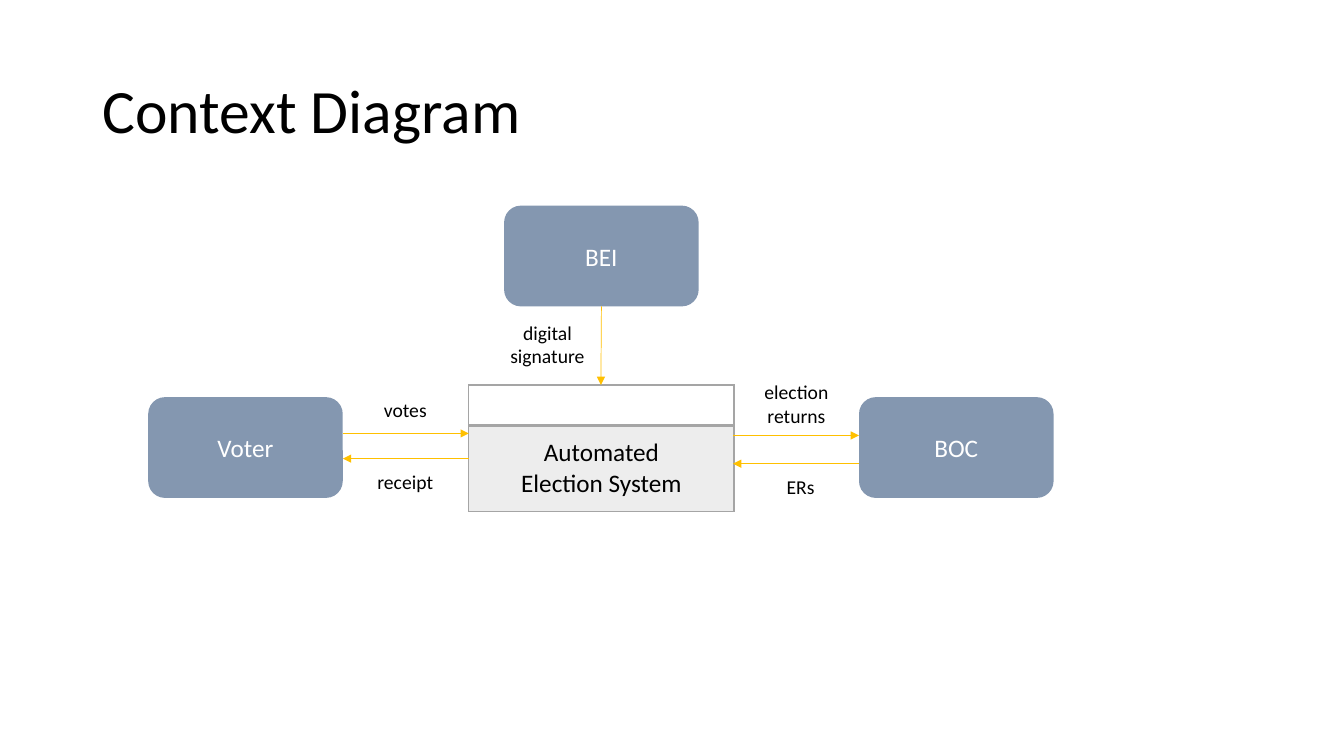
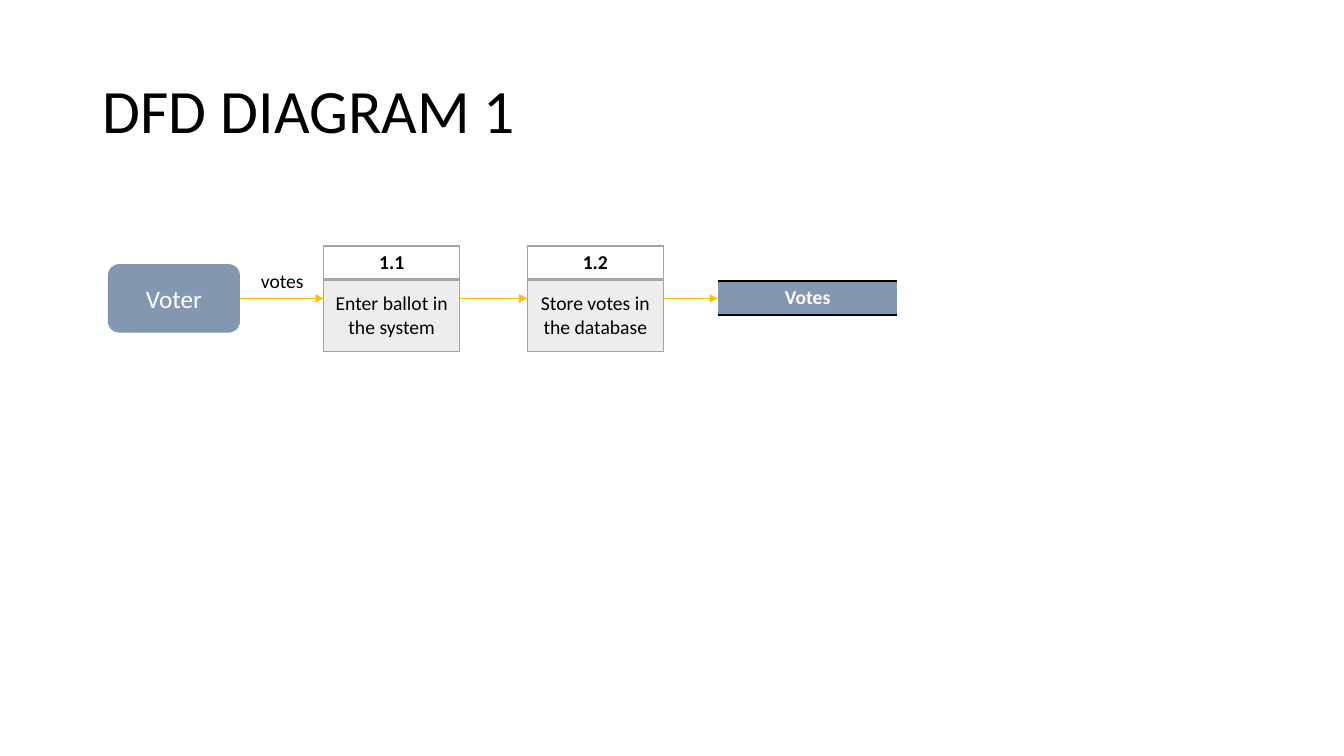
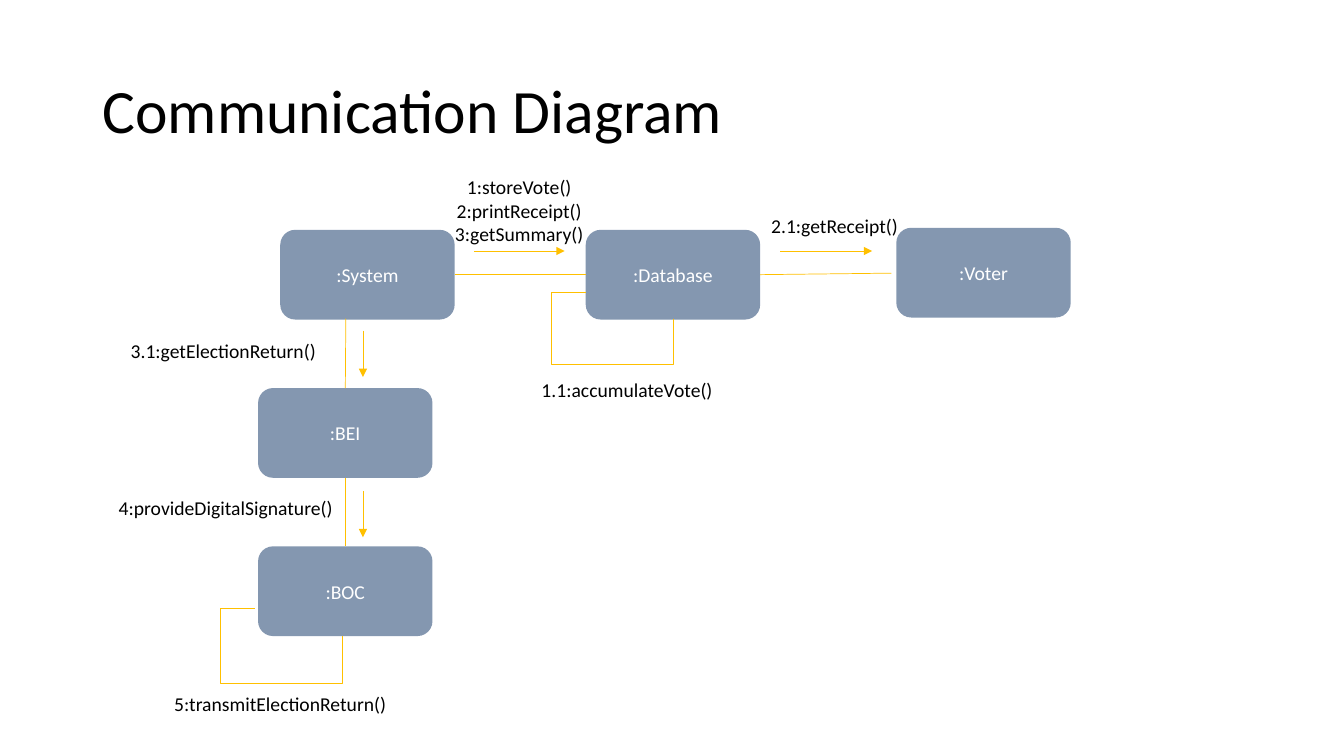
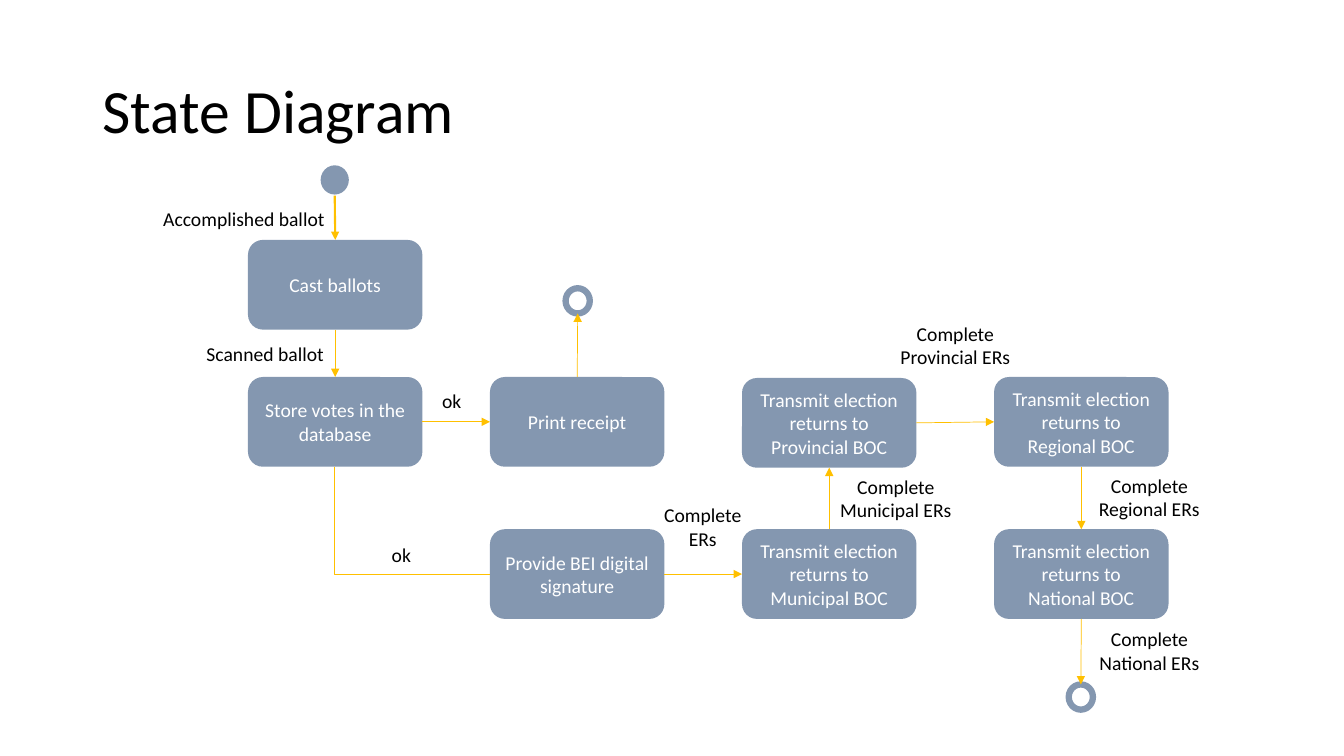
from dataclasses import dataclass

from lxml.etree import SubElement
from pptx import Presentation
from pptx.dml.color import RGBColor
from pptx.enum.shapes import MSO_CONNECTOR as Link, MSO_SHAPE as Preset
from pptx.enum.text import MSO_ANCHOR as Anchor, PP_ALIGN as Align
from pptx.oxml.ns import qn
from pptx.util import Inches, Pt


@dataclass(frozen=True)
class Theme:
    font: str = "Calibri"
    ink: str = "000000"
    paper: str = "FFFFFF"
    node: str = "8497B0"
    flow: str = "FFC000"
    grid: str = "A5A5A5"
    title_size: int = 44
    large: int = 18
    small: int = 14
    flow_width: float = 0.5


THEME = Theme()
TOP, LEFT, BOTTOM, RIGHT = range(4)
MUNICIPAL, PROVINCIAL, REGIONAL, NATIONAL = (
    f"Transmit election returns to {area} BOC"
    for area in ("Municipal", "Provincial", "Regional", "National"))
CAST, STORE, PRINT, SIGN = (
    "Cast ballots", "Store votes in the database", "Print receipt",
    "Provide BEI digital signature")

# A link end is either a point (x, y) or a side of a node (name, side).
# Labels are (text, left, top, width, height).
SLIDES = [
    dict(
        title="Context Diagram",
        node_size=(1.93, 1), text_size=THEME.large,
        nodes={"Voter": (1.47, 3.94), "BEI": (5, 2.04), "BOC": (8.52, 3.94)},
        processes=[("", "Automated\nElection System", 4.65, 3.82, 2.63, (0.4, 0.85))],
        arrows=[((3.4, 4.3), (4.65, 4.3)), ((8.52, 4.6), (7.27, 4.6)),
                (("BEI", BOTTOM), (5.96, 3.82)), ((4.65, 4.55), (3.4, 4.55)),
                ((7.27, 4.32), (8.52, 4.32))],
        labels=[("votes", 3.47, 3.9, 1.1, 0.34),
                ("election returns", 7.35, 3.72, 1.1, 0.57),
                ("receipt", 3.47, 4.61, 1.1, 0.34),
                ("ERs", 7.39, 4.66, 1.1, 0.34),
                ("digital signature", 4.88, 3.13, 1.1, 0.57)],
    ),
    dict(
        title="DFD DIAGRAM 1",
        node_size=(1.31, 0.68), text_size=THEME.large,
        nodes={"Voter": (1.07, 2.62)},
        processes=[("1.1", "Enter ballot in the system", 3.21, 2.44, 1.35, (0.33, 0.71)),
                   ("1.2", "Store votes in the database", 5.23, 2.44, 1.35, (0.33, 0.71))],
        stores=[("Votes", 7.12, 2.79, 1.78, 0.33)],
        arrows=[(("Voter", RIGHT), (3.21, 2.96)), ((4.56, 2.96), (5.23, 2.96)),
                ((6.59, 2.96), (7.12, 2.96))],
        labels=[("votes", 2.25, 2.62, 1.1, 0.34)],
    ),
    dict(
        title="Communication Diagram",
        node_size=(1.73, 0.89), text_size=THEME.small,
        nodes={":System": (2.78, 2.28), ":Database": (5.81, 2.28),
               ":Voter": (8.89, 2.26), ":BEI": (2.56, 3.85), ":BOC": (2.56, 5.42)},
        lines=[((":System", RIGHT), (":Database", LEFT)),
               ((":Database", RIGHT), (8.84, 2.71)),
               ((3.43, 3.16), (":BEI", TOP)), ((":BEI", BOTTOM), (":BOC", TOP))],
        arrows=[((4.7, 2.49), (5.6, 2.49)), ((7.74, 2.49), (8.65, 2.49)),
                ((3.6, 3.28), (3.6, 3.74)), ((3.6, 4.87), (3.6, 5.33))],
        bends=[((6.68, 3.16), (5.81, 2.9), 90, (-1.75, 1.39)),
               ((3.4, 6.31), (2.53, 6.04), 90, (-1.75, 1.39))],
        labels=[("1:storeVote()\n2:printReceipt()\n3:getSummary()", 4.31, 1.69, 1.68, 0.81),
                ("1.1:accumulateVote()", 5.22, 3.7, 2, 0.34),
                ("3.1:getElectionReturn()", 1.04, 3.31, 2.35, 0.34),
                ("4:provideDigitalSignature()", 1.06, 4.87, 2.36, 0.34),
                ("5:transmitElectionReturn()", 1.6, 6.82, 2.36, 0.34),
                ("2.1:getReceipt()", 7.55, 2.07, 1.54, 0.34, Align.LEFT)],
    ),
    dict(
        title="State Diagram",
        node_size=(1.73, 0.89), text_size=THEME.small,
        nodes={CAST: (2.46, 2.38), STORE: (2.46, 3.74), PRINT: (4.86, 3.74),
               SIGN: (4.86, 5.25), MUNICIPAL: (7.36, 5.25),
               PROVINCIAL: (7.36, 3.75), REGIONAL: (9.86, 3.74),
               NATIONAL: (9.86, 5.25)},
        starts=[(3.18, 1.64, 0.28, 0.29)],
        ends=[(10.6, 6.79, 0.24, 0.25), (5.61, 2.86, 0.24, 0.25)],
        arrows=[((3.32, 1.94), (CAST, TOP), 1.5),
                ((CAST, BOTTOM), (STORE, TOP)), ((STORE, RIGHT), (PRINT, LEFT)),
                ((NATIONAL, BOTTOM), (10.72, 6.79)), ((SIGN, RIGHT), (MUNICIPAL, LEFT)),
                ((MUNICIPAL, TOP), (PROVINCIAL, BOTTOM)),
                ((PROVINCIAL, RIGHT), (REGIONAL, LEFT)),
                ((REGIONAL, BOTTOM), (NATIONAL, TOP)), ((PRINT, TOP), (5.73, 3.11))],
        bends=[((3.32, 4.63), (4.86, 5.7), 270, ())],
        labels=[("Accomplished ballot", 1.47, 2, 1.9, 0.34),
                ("Scanned ballot", 1.79, 3.34, 1.68, 0.34),
                ("ok", 3.64, 3.81, 1.68, 0.34),
                ("ok", 3.14, 5.34, 1.68, 0.34),
                ("Complete ERs", 6.47, 4.94, 1, 0.57),
                ("Complete Municipal ERs", 8.13, 4.66, 1.51, 0.57),
                ("Complete Provincial ERs", 8.77, 3.14, 1.41, 0.57),
                ("Complete Regional ERs", 10.75, 4.65, 1.3, 0.57),
                ("Complete National ERs", 10.75, 6.17, 1.3, 0.57)],
    ),
]


def rgb(color):
    return RGBColor.from_string(color)


def write(frame, text, size=THEME.small, color=THEME.ink, bold=False,
          align=Align.CENTER, spacing=None):
    """Fill a text frame, one paragraph per line of text."""
    frame.word_wrap = True
    for number, line in enumerate(text.split("\n")):
        para = frame.add_paragraph() if number else frame.paragraphs[0]
        para.alignment = align
        para.line_spacing = spacing
        span = para.add_run()
        span.text = line
        span.font.name = THEME.font
        span.font.size = Pt(size)
        span.font.bold = bold
        span.font.color.rgb = rgb(color)


def add_label(page, text, left, top, width, height, align=Align.CENTER, **style):
    box = page.shapes.add_textbox(*map(Inches, (left, top, width, height)))
    write(box.text_frame, text, align=align, **style)
    return box


def add_title(page, text):
    box = add_label(page, text, 0.92, 0.4, 11.5, 1.45, Align.LEFT,
                    size=THEME.title_size, spacing=0.9)
    box.text_frame.vertical_anchor = Anchor.MIDDLE


def add_solid(page, preset, place):
    shape = page.shapes.add_shape(preset, *map(Inches, place))
    shape.shadow.inherit = False
    shape.fill.solid()
    shape.fill.fore_color.rgb = rgb(THEME.node)
    shape.line.fill.background()
    return shape


def add_node(page, text, place, size):
    shape = add_solid(page, Preset.ROUNDED_RECTANGLE, place)
    shape.text_frame.vertical_anchor = Anchor.MIDDLE
    write(shape.text_frame, text, size=size, color=THEME.paper)
    return shape


def add_ring(page, place):
    ring = add_solid(page, Preset.OVAL, place)
    ring.fill.background()
    ring.line.color.rgb = rgb(THEME.node)
    ring.line.width = Pt(4.5)


def add_table(page, left, top, width, heights):
    """Add a one-column table without a banded style."""
    table = page.shapes.add_table(
        len(heights), 1, *map(Inches, (left, top, width, sum(heights)))).table
    table.first_row = table.horz_banding = False
    for row, height in zip(table.rows, heights):
        row.height = Inches(height)
    return table


def format_cell(cell, borders, color, fill=None, opacity=100):
    """Set the borders, given as widths by side (L, R, T, B), and the fill."""
    cell.vertical_anchor = Anchor.MIDDLE
    props = cell._tc.get_or_add_tcPr()
    for side in "LRTB":
        width = borders.get(side, 0)
        line = SubElement(props, qn(f"a:ln{side}"), w=str(Pt(width)))
        if width:
            paint = SubElement(line, qn("a:solidFill"))
            SubElement(paint, qn("a:srgbClr"), val=color)
        else:
            SubElement(line, qn("a:noFill"))
    if not fill:
        cell.fill.background()
        return
    cell.fill.solid()
    cell.fill.fore_color.rgb = rgb(fill)
    if opacity < 100:
        tint = props.find(qn("a:solidFill")).find(qn("a:srgbClr"))
        SubElement(tint, qn("a:alpha"), val=str(opacity * 1000))


def add_process(page, number, text, left, top, width, heights):
    table = add_table(page, left, top, width, heights)
    head, body = table.cell(0, 0), table.cell(1, 0)
    format_cell(head, dict(L=1, R=1, T=1, B=2), THEME.grid)
    format_cell(body, dict(L=1, R=1, T=2, B=1), THEME.grid, THEME.grid, 20)
    if number:
        write(head.text_frame, number, bold=True)
    write(body.text_frame, text, size=THEME.small if number else THEME.large)


def add_store(page, text, left, top, width, height):
    cell = add_table(page, left, top, width, [height]).cell(0, 0)
    format_cell(cell, dict(T=2, B=2), THEME.ink, THEME.node)
    write(cell.text_frame, text, color=THEME.paper, bold=True)


def style_flow(connector, width=THEME.flow_width, arrow=False):
    connector.line.color.rgb = rgb(THEME.flow)
    connector.line.width = Pt(width)
    props = connector._element.spPr
    if arrow:
        SubElement(props.find(qn("a:ln")), qn("a:tailEnd"), type="triangle")
    SubElement(props, qn("a:effectLst"))


def locate(end, nodes):
    """Return the point of a link end, in EMU."""
    if end[0] not in nodes:
        return Inches(end[0]), Inches(end[1])
    node, side = nodes[end[0]], end[1]
    across = {LEFT: 0, RIGHT: node.width}.get(side, node.width // 2)
    down = {TOP: 0, BOTTOM: node.height}.get(side, node.height // 2)
    return node.left + across, node.top + down


def add_flow(page, nodes, start, end, width=THEME.flow_width, arrow=True):
    connector = page.shapes.add_connector(
        Link.STRAIGHT, *locate(start, nodes), *locate(end, nodes))
    for (name, side), connect in ((start, connector.begin_connect),
                                  (end, connector.end_connect)):
        if name in nodes:
            connect(nodes[name], side)
    style_flow(connector, width, arrow)


def add_bend(page, start, end, turn, adjustments):
    """Add an elbow that leaves its start vertically; turn is in degrees."""
    (x1, y1), (x2, y2) = start, end
    width, height = abs(y2 - y1), abs(x2 - x1)
    left, top = (x1 + x2 - width) / 2, (y1 + y2 - height) / 2
    connector = page.shapes.add_connector(
        Link.ELBOW, *map(Inches, (left, top, left + width, top + height)))
    props = connector._element.spPr
    frame = props.find(qn("a:xfrm"))
    frame.set("rot", str(turn * 60000))
    frame.set("flipH", "1")
    outline = props.find(qn("a:prstGeom"))
    outline.set("prst", f"bentConnector{len(adjustments) + 2}")
    guides = outline.find(qn("a:avLst"))
    for number, value in enumerate(adjustments, 1):
        SubElement(guides, qn("a:gd"), name=f"adj{number}",
                   fmla=f"val {round(value * 100000)}")
    style_flow(connector)


def add_diagram(page, content):
    add_title(page, content["title"])
    for process in content.get("processes", []):
        add_process(page, *process)
    for store in content.get("stores", []):
        add_store(page, *store)
    nodes = {text: add_node(page, text, corner + content["node_size"], content["text_size"])
             for text, corner in content["nodes"].items()}
    for place in content.get("starts", []):
        add_solid(page, Preset.OVAL, place)
    for place in content.get("ends", []):
        add_ring(page, place)
    for line in content.get("lines", []):
        add_flow(page, nodes, *line, arrow=False)
    for arrow in content["arrows"]:
        add_flow(page, nodes, *arrow)
    for bend in content.get("bends", []):
        add_bend(page, *bend)
    for label in content["labels"]:
        add_label(page, *label)


def main():
    deck = Presentation()
    deck.slide_width, deck.slide_height = Inches(13.33), Inches(7.5)
    for content in SLIDES:
        add_diagram(deck.slides.add_slide(deck.slide_layouts[6]), content)
    deck.save("out.pptx")


if __name__ == "__main__":
    main()
